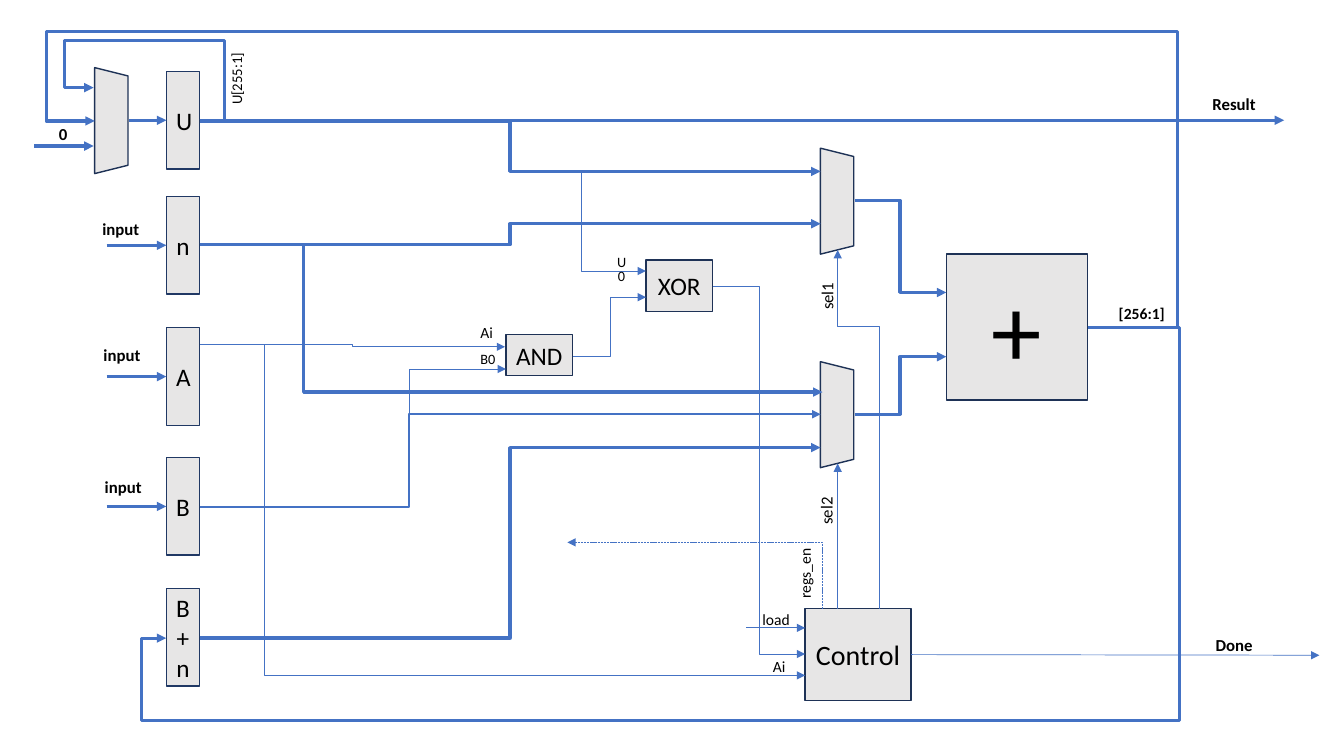
from lxml.etree import SubElement
from pptx import Presentation
from pptx.dml.color import RGBColor
from pptx.enum.dml import MSO_LINE
from pptx.enum.shapes import MSO_CONNECTOR, MSO_SHAPE
from pptx.enum.text import MSO_ANCHOR, PP_ALIGN
from pptx.oxml.ns import qn
from pptx.util import Cm, Pt

WIRE = RGBColor(0x44, 0x72, 0xC4)
FILL = RGBColor(0xE7, 0xE6, 0xE6)
REG_EDGE = RGBColor(0x20, 0x38, 0x64)
EDGE = RGBColor(0x1E, 0x32, 0x56)
BLACK = RGBColor(0, 0, 0)
BUS, MEDIUM, THIN = 2.25, 1.5, 0.5
REG_X, REG_W, REG_H = 4.19, 0.84, 2.46
REG_OUT = REG_X + REG_W
MUX_L, MUX_W = 2.67, 0.84
MUX_IN, MUX_OUT = 20.68, 21.54

REGISTERS = [("U", 1.8), ("n", 4.95), ("A", 8.26), ("B", 11.53), ("B+n", 14.83)]
BLOCKS = [
    ("AND", 12.75, 8.43, 1.68, 1.04, 18),
    ("XOR", 16.28, 6.55, 1.68, 1.3, 18),
    ("+", 23.85, 6.4, 3.56, 3.68, 72),
    ("Control", 20.29, 15.34, 2.67, 2.31, 20),
]
MUXES = [(1.47, 2.62), (19.76, 4.65), (19.76, 10.03)]
ELBOWS = [
    ((5.05, 8.69), (12.73, 8.74), [8.89], THIN),
    ((REG_OUT, 3.05), (MUX_IN, 4.32), [12.85], BUS),
    ((14.45, 8.97), (16.28, 7.49), [15.37], THIN),
    ((10.29, 10.44), (12.75, 9.3), [10.31], THIN),
    ((REG_OUT, 6.17), (MUX_IN, 5.64), [12.85], BUS),
    ((14.66, 4.34), (16.28, 6.83), [14.66], THIN),
    ((REG_OUT, 12.78), (MUX_IN, 10.44), [10.31], MEDIUM),
    ((REG_OUT, 16.08), (MUX_IN, 11.28), [12.85], BUS),
    ((REG_OUT, 6.17), (20.73, 9.88), [7.65], BUS),
    ((MUX_OUT, 10.44), (23.85, 8.99), [22.68], BUS),
    ((MUX_OUT, 5.05), (23.85, 7.37), [22.68], BUS),
    ((27.41, 8.26), (2.39, 3.05), [29.69, 0.79, 1.17], BUS),
    ((27.41, 8.26), (REG_X, 16.08), [29.74, 18.16, 3.56], BUS),
    ((17.96, 7.21), (20.29, 16.48), [19.13], THIN),
    ((6.53, 8.69), (20.29, 17.02), [6.65], THIN),
    ((REG_OUT, 3.05), (2.36, 2.21), [5.66, 1.02, 1.63], BUS),
]
STRAIGHTS = [
    ((21.11, 15.34), (21.11, 11.68), THIN),
    ((18.8, 15.82), (20.29, 15.82), THIN),
    ((0.86, 3.68), (2.36, 3.68), BUS),
]
PIN_LABELS = [
    ("Ai", 11.81, 8.1, 0.91, 11.1),
    ("B0", 11.84, 8.79, 0.91, 10.2),
    ("U0", 15.21, 6.35, 0.91, 10.2),
    ("Ai", 19.18, 16.51, 0.91, 11.1),
    ("load", 18.85, 15.34, 1.42, 11.1),
]
PORT_LABELS = [
    ("[256:1]", 27.91, 7.59, 1.73, 0.84, 11.1),
    ("0", 0.97, 3.05, 1.24, 0.84, 12),
    ("input", 2.18, 5.44, 1.73, 0.84, 12),
    ("input", 2.21, 8.61, 1.73, 0.84, 12),
    ("input", 2.24, 11.94, 1.73, 0.84, 12),
    ("Done", 30.07, 15.93, 2.06, 0.58, 12),
    ("Result", 30.07, 2.29, 2.06, 0.58, 12),
]
UPRIGHT_LABELS = [
    ("sel2", 20.07, 12.42, 1.75, 0.91, 12),
    ("sel1", 20.09, 7.01, 1.75, 0.91, 12),
    ("regs_en", 19.51, 14, 1.83, 0.91, 11.1),
    ("U[255:1]", 4.5, 1.57, 3.15, 0.84, 10.5),
]


def write(tf, text, size, bold=False):
    """Fill a text frame with one centred paragraph and return it."""
    tf.word_wrap = True
    p = tf.paragraphs[0]
    p.text = text
    p.alignment = PP_ALIGN.CENTER
    font = p.runs[0].font
    font.name, font.size, font.bold = "Calibri", Pt(size), bold
    font.color.rgb = BLACK
    return p


def add_block(s, kind, x, y, w, h, edge=EDGE):
    """Add a grey outlined shape."""
    sp = s.shapes.add_shape(kind, Cm(x), Cm(y), Cm(w), Cm(h))
    sp.shadow.inherit = False
    sp.fill.solid()
    sp.fill.fore_color.rgb = FILL
    sp.line.color.rgb = edge
    sp.line.width = Pt(1)
    return sp


def add_box(s, text, x, y, w, h, size, edge=EDGE):
    """Add a captioned rectangle."""
    sp = add_block(s, MSO_SHAPE.RECTANGLE, x, y, w, h, edge)
    sp.text_frame.vertical_anchor = MSO_ANCHOR.MIDDLE
    write(sp.text_frame, text, size)
    return sp


def add_label(s, text, x, y, w, h, size, bold=False, spacing=0.9, rotation=0):
    """Add a wire label."""
    sp = s.shapes.add_textbox(Cm(x), Cm(y), Cm(w), Cm(h))
    sp.rotation = rotation
    p = write(sp.text_frame, text, size, bold)
    p.line_spacing = spacing
    p.space_before = Pt(10)


def add_wire(s, start, end, width, kind=MSO_CONNECTOR.STRAIGHT, dash=None):
    """Add a connector with an arrowhead at its end."""
    c = s.shapes.add_connector(kind, *map(Cm, start + end))
    c.line.color.rgb = WIRE
    c.line.width = Pt(width)
    if dash:
        c.line.dash_style = dash
    SubElement(c.line._get_or_add_ln(), qn("a:tailEnd"), type="triangle")
    SubElement(c._element.spPr, qn("a:effectLst"))
    return c


def add_elbow(s, start, end, bends, width, dash=None):
    """Add an elbow wire leaving sideways, with bends as alternating x and y."""
    c = add_wire(s, start, end, width, MSO_CONNECTOR.ELBOW, dash)
    geom = c._element.spPr.find(qn("a:prstGeom"))
    geom.set("prst", f"bentConnector{len(bends) + 2}")
    guides = geom.find(qn("a:avLst"))
    for i, bend in enumerate(bends):
        a, b = start[i % 2], end[i % 2]
        ratio = round((bend - a) / (b - a) * 100000)
        SubElement(guides, qn("a:gd"), name=f"adj{i + 1}", fmla=f"val {ratio}")
    return c


def add_rising_elbow(s, start, end, bend_y, width):
    """Add an elbow wire leaving upwards, turned a quarter from a sideways one."""
    (x0, y0), (x1, y1) = start, end
    cx, cy = (x0 + x1) / 2, (y0 + y1) / 2
    dx, dy = (y0 - y1) / 2, (x1 - x0) / 2
    bend = cx + cy - bend_y
    c = add_elbow(s, (cx - dx, cy - dy), (cx + dx, cy + dy), [bend], width)
    c._element.spPr.find(qn("a:xfrm")).set("rot", str(270 * 60000))


def main():
    """Build the datapath slide."""
    prs = Presentation()
    prs.slide_width, prs.slide_height = Cm(33.87), Cm(19.05)
    s = prs.slides.add_slide(prs.slide_layouts[6])

    boxes = {}
    for name, y in REGISTERS:
        boxes[name] = add_box(s, name, REG_X, y, REG_W, REG_H, 18, REG_EDGE)
    for name, *place in BLOCKS:
        boxes[name] = add_box(s, name, *place)
    for x, y in MUXES:
        add_block(s, MSO_SHAPE.TRAPEZOID, x, y, MUX_L, MUX_W).rotation = 90

    for elbow in ELBOWS:
        add_elbow(s, *elbow)
    add_elbow(s, (20.73, 15.34), (14.3, 13.67), [20.73], THIN, MSO_LINE.SQUARE_DOT)
    add_rising_elbow(s, (22.17, 15.34), (21.11, 6.3), 8.23, THIN)
    for straight in STRAIGHTS:
        add_wire(s, *straight)
    for (name, top), x in zip(REGISTERS, (3.25, 2.69, 2.69, 2.69)):
        y = top + REG_H / 2
        add_wire(s, (x, y), (REG_X, y), BUS).end_connect(boxes[name], 1)
    for name, start, end, width in (
        ("U", (REG_OUT, 3.03), (32.36, 3.03), BUS),
        ("Control", (22.96, 16.5), (33.25, 16.51), THIN),
    ):
        add_wire(s, start, end, width).begin_connect(boxes[name], 3)

    for text, x, y, w, size in PIN_LABELS:
        add_label(s, text, x, y, w, 0.64, size, spacing=0.8)
    for label in PORT_LABELS:
        add_label(s, *label, bold=True)
    for label in UPRIGHT_LABELS:
        add_label(s, *label, rotation=270)

    prs.save("out.pptx")


if __name__ == "__main__":
    main()
